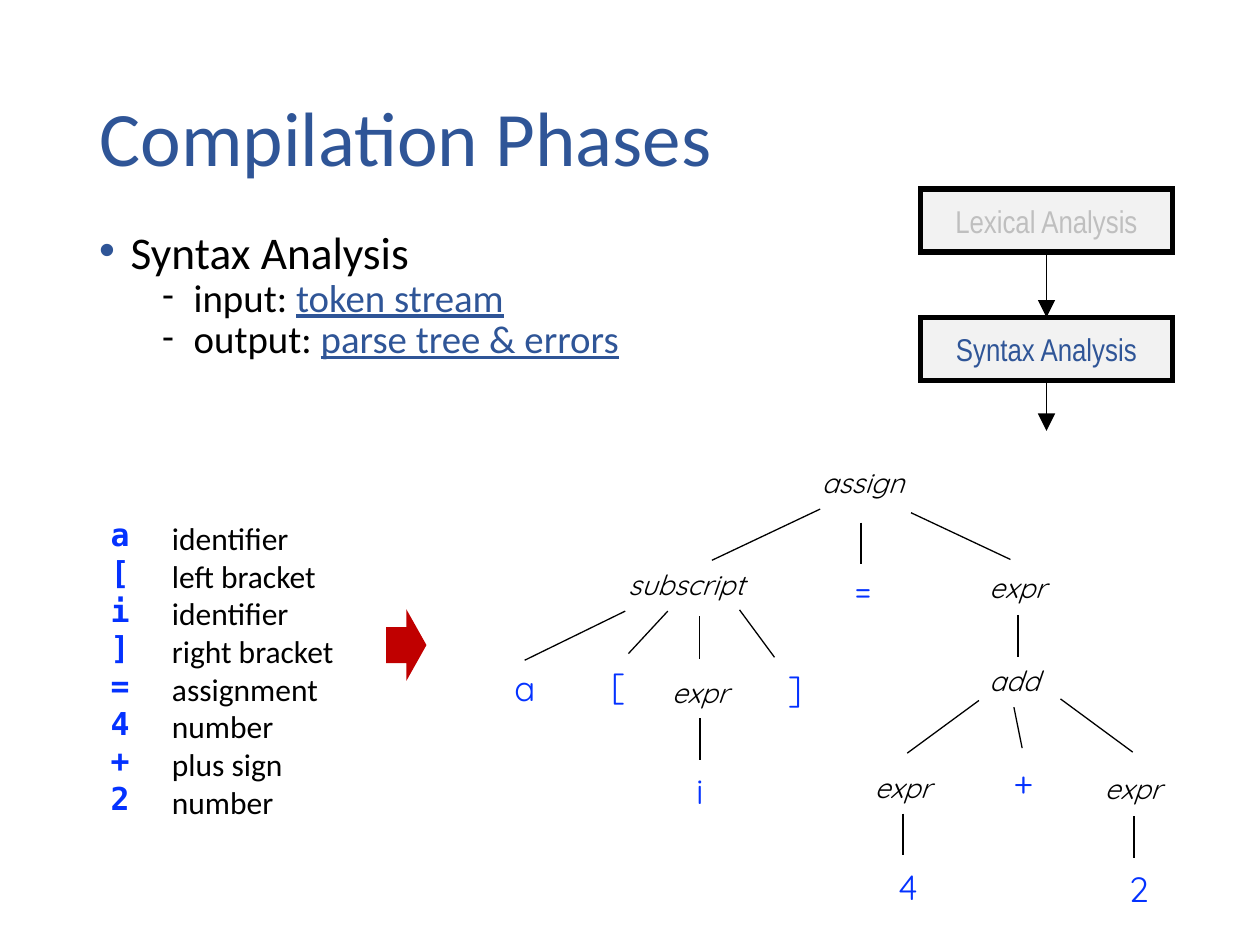
from pptx import Presentation
from pptx.dml.color import RGBColor
from pptx.enum.shapes import MSO_CONNECTOR as LINE, MSO_SHAPE as SHAPE
from pptx.enum.text import MSO_ANCHOR as ANCHOR, PP_ALIGN as ALIGN
from pptx.oxml.ns import qn
from pptx.util import Pt
from lxml.etree import SubElement as sub

NAVY, BLUE, RED = "2F5597", "0432FF", "C00000"
BLACK, GREY, PALE = "000000", "F2F2F2", "BFBFBF"


def ink(code):
    return RGBColor.from_string(code)


class Deck:
    """Hold the text style and the current slide, and draw each kind of element."""

    def __init__(self, wide, high, font):
        self.file = Presentation()
        self.file.slide_width, self.file.slide_height = Pt(wide), Pt(high)
        self.slide = self.file.slides.add_slide(self.file.slide_layouts[6])
        self.font = font

    def run(self, para, text, size, color=BLACK, font=None, **style):
        face = para.add_run()
        face.text = text
        face = face.font
        face.name, face.size = font or self.font, Pt(size)
        face.color.rgb = ink(color)
        for key, value in style.items():
            setattr(face, key, value)

    def text(self, x, y, w, h, wrap=True):
        frame = self.slide.shapes.add_textbox(Pt(x), Pt(y), Pt(w), Pt(h)).text_frame
        frame.word_wrap = wrap
        return frame

    def paras(self, frame, items):
        for n, item in enumerate(items):
            yield (frame.add_paragraph() if n else frame.paragraphs[0]), item

    def title(self, x, y, w, h, text):
        frame = self.text(x, y, w, h)
        frame.vertical_anchor = ANCHOR.MIDDLE
        frame.paragraphs[0].line_spacing = 0.9
        self.run(frame.paragraphs[0], text, 44, NAVY)

    def bullets(self, x, y, w, h, items):
        frame = self.text(x, y, w, h)
        for para, (level, label, term) in self.paras(frame, items):
            size = 22.2 if level else 25.9
            para.level, para.line_spacing = level, 0.7
            para.space_before = Pt(5 if level else 10)
            props = para._p.get_or_add_pPr()
            props.set("marL", str(Pt(54 if level else 18)))
            props.set("indent", str(Pt(-18)))
            tint = sub(sub(props, qn("a:buClr")), qn("a:srgbClr"))
            tint.set("val", BLACK if level else NAVY)
            sub(props, qn("a:buFont")).set("typeface", self.font if level else "Arial")
            sub(props, qn("a:buChar")).set("char", "-" if level else "•")
            self.run(para, label, size)
            if term:
                self.run(para, term, size, NAVY, underline=True)

    def column(self, x, y, w, h, items, **style):
        frame = self.text(x, y, w, h, False)
        for para, item in self.paras(frame, items):
            para.line_spacing = Pt(21.55)
            self.run(para, item, 18, **style)

    def node(self, mid, y, w, h, text, size, color, **style):
        frame = self.text(mid - w / 2, y, w, h, False)
        frame.paragraphs[0].alignment = ALIGN.CENTER
        self.run(frame.paragraphs[0], text, size, color, "Quicksand", **style)

    def shape(self, kind, x, y, w, h, fill):
        shape = self.slide.shapes.add_shape(kind, Pt(x), Pt(y), Pt(w), Pt(h))
        shape.shadow.inherit = False
        shape.fill.solid()
        shape.fill.fore_color.rgb = ink(fill)
        shape.line.fill.background()
        return shape

    def phase(self, x, y, w, h, text, color):
        box = self.shape(SHAPE.RECTANGLE, x, y, w, h, GREY)
        box.line.color.rgb, box.line.width = ink(BLACK), Pt(3)
        sub(box.line._get_or_add_ln(), qn("a:miter")).set("lim", "800000")
        box.text_frame.vertical_anchor = ANCHOR.MIDDLE
        para = box.text_frame.paragraphs[0]
        para.alignment = ALIGN.CENTER
        self.run(para, text, 18, color, "Arial Narrow")

    def line(self, x1, y1, x2, y2, width=0.75, head=False):
        ends = Pt(x1), Pt(y1), Pt(x2), Pt(y2)
        line = self.slide.shapes.add_connector(LINE.STRAIGHT, *ends)
        line.line.color.rgb, line.line.width = ink(BLACK), Pt(width)
        if head:
            tail = sub(line.line._get_or_add_ln(), qn("a:tailEnd"))
            for key, value in (("type", "triangle"), ("w", "lg"), ("len", "lg")):
                tail.set(key, value)
        sub(line._element.spPr, qn("a:effectLst"))


TOKENS = [
    ("a", "identifier"), ("[", "left bracket"), ("i", "identifier"),
    ("]", "right bracket"), ("=", "assignment"), ("4", "number"),
    ("+", "plus sign"), ("2", "number"),
]
RULES = [
    ("assign", 493, 262.4, 65.5), ("subscript", 392.2, 320.7, 88.6),
    ("expr", 581.4, 322.6, 49.7), ("add", 579.6, 375.8, 44.6),
    ("expr", 400, 382.3, 49.7), ("expr", 515.9, 436.6, 49.7),
    ("expr", 647.4, 437.3, 49.7),
]
LEAVES = [
    ("=", 493.2, 320.7, 66), ("a", 300, 377.3, 66), ("[", 353.3, 375.8, 66),
    ("]", 454.3, 377.3, 66), ("i", 400, 436.3, 66), ("+", 584.1, 430.6, 24),
    ("4", 518.2, 491, 24), ("2", 650, 492.2, 24),
]
EDGES = [
    (468.7, 290.9, 406.8, 320.2), (492, 298.6, 492, 322.4),
    (520.6, 293, 577.4, 319.7), (357.3, 349.2, 299.8, 377.3),
    (381.6, 349.2, 359.1, 373.5), (399.6, 352.1, 399.6, 376.4),
    (422.6, 348.5, 442.6, 375.6), (400.1, 410.4, 400.1, 434.2),
    (581.8, 351.4, 581.8, 375.3), (559.4, 400.3, 518.4, 430.4),
    (579.4, 404.1, 584.1, 427.5), (606, 399.4, 647.3, 429.8),
    (516, 465, 516, 488.7), (648, 466.4, 648, 490.3),
]


def main():
    deck = Deck(720, 540, "Calibri")
    deck.title(49.8, 28.8, 620.6, 104.4, "Compilation Phases")
    deck.bullets(49.6, 133.2, 394.6, 84.2, [
        (0, "Syntax Analysis", ""),
        (1, "input: ", "token stream"),
        (1, "output: ", "parse tree & errors"),
    ])

    phases = [("Lexical Analysis", PALE, 108, 37.4), ("Syntax Analysis", NAVY, 181.4, 28.8)]
    for name, color, top, gap in phases:
        deck.phase(526, top, 144, 36, name, color)
        deck.line(598, top + 36, 598, top + 36 + gap, 0.5, True)

    signs, names = zip(*TOKENS)
    deck.column(56.2, 290.9, 36, 181.4, signs, color=BLUE, font="DejaVu Sans Mono", bold=True)
    deck.column(91.2, 293, 108, 181.4, names)
    arrow = deck.shape(SHAPE.DOWN_ARROW, 211.7, 357.1, 41, 23, RED)
    arrow.rotation = 270

    for edge in EDGES:
        deck.line(*edge)
    for name, mid, top, wide in RULES:
        deck.node(mid, top, wide, 26.6, name, 16, BLACK, italic=True)
    for sign, mid, top, wide in LEAVES:
        deck.node(mid, top, wide, 31.7, sign, 20, BLUE)

    deck.file.save("out.pptx")


if __name__ == "__main__":
    main()
